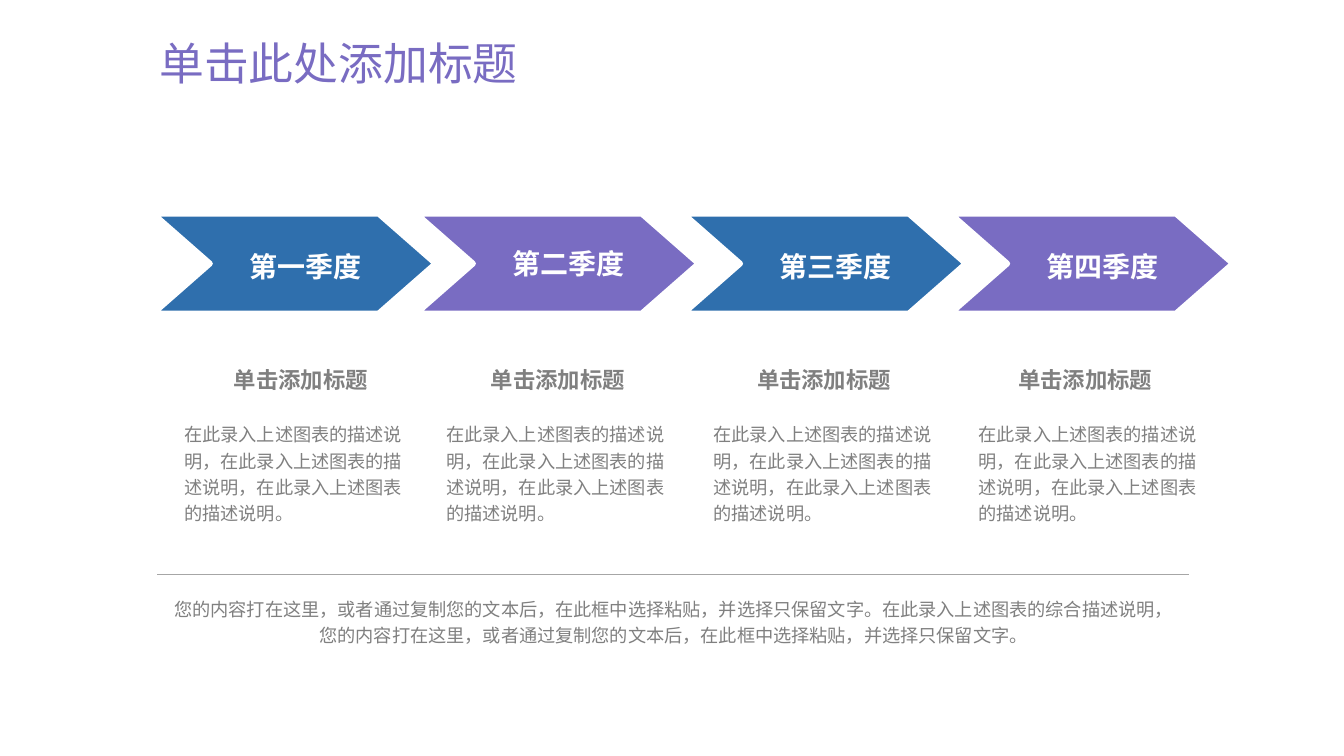
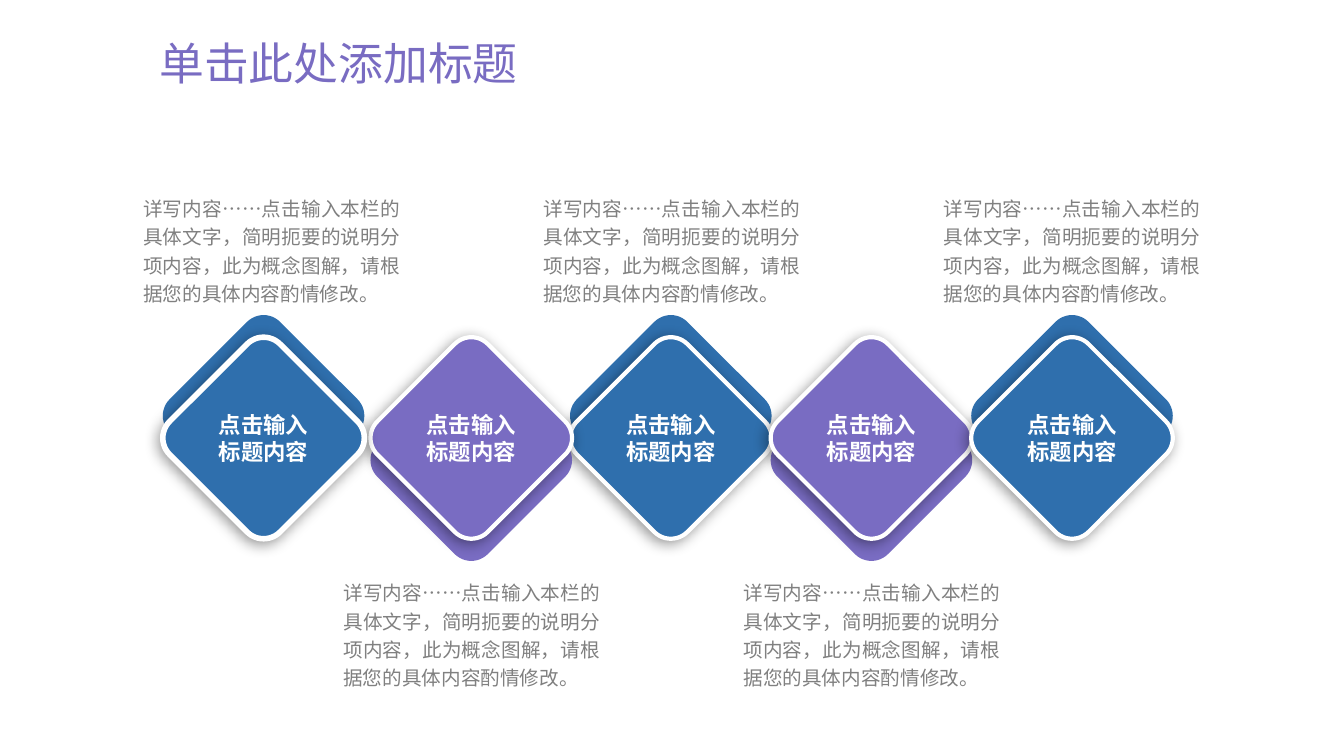
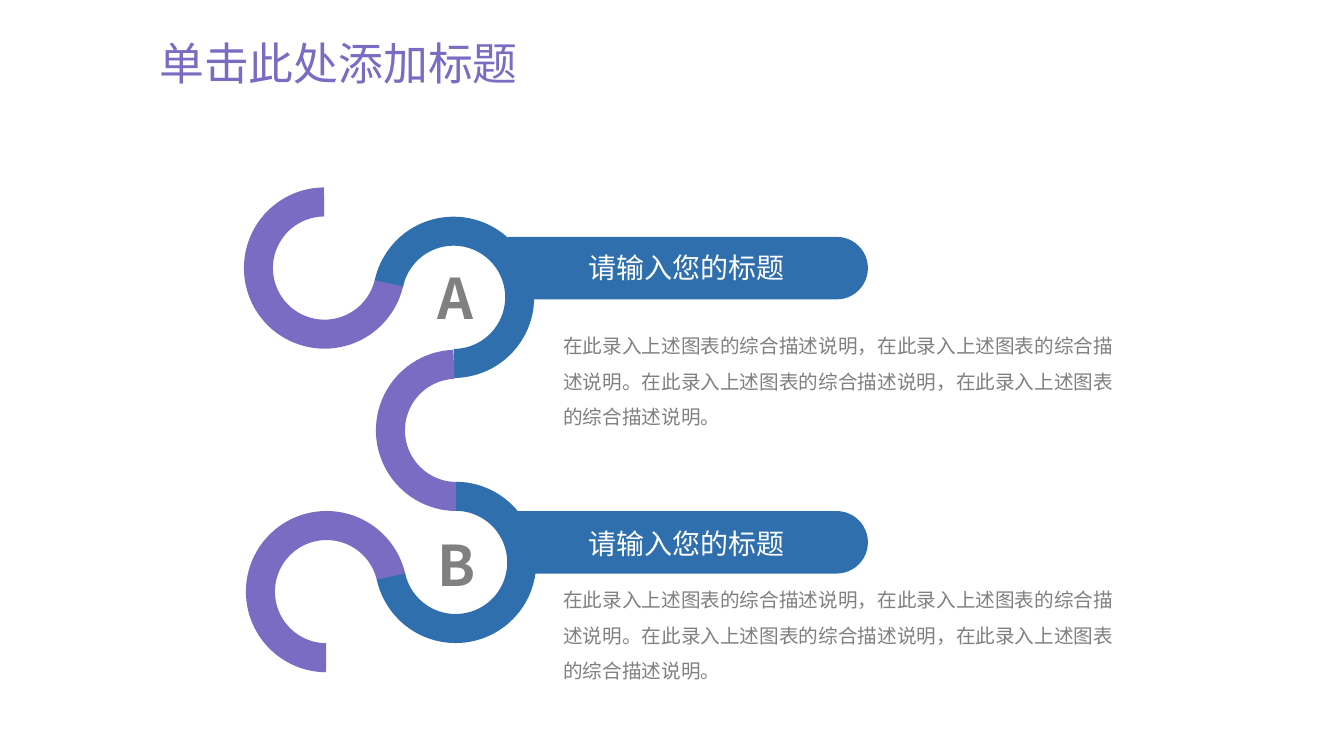
from lxml import etree
from pptx import Presentation
from pptx.dml.color import RGBColor
from pptx.enum.shapes import MSO_CONNECTOR, MSO_SHAPE
from pptx.enum.text import MSO_ANCHOR, MSO_AUTO_SIZE, PP_ALIGN
from pptx.oxml.ns import qn
from pptx.util import Inches, Pt

PURPLE = RGBColor(0x79, 0x6C, 0xC2)
BLUE = RGBColor(0x2F, 0x6F, 0xAD)
GRAY = RGBColor(0x80, 0x80, 0x80)
RULE = RGBColor(0xA6, 0xA6, 0xA6)
WHITE = RGBColor(0xFF, 0xFF, 0xFF)
CJK = "Noto Sans CJK SC"
LEFT, CENTER, JUSTIFY = PP_ALIGN.LEFT, PP_ALIGN.CENTER, PP_ALIGN.JUSTIFY
TOP, MIDDLE = MSO_ANCHOR.TOP, MSO_ANCHOR.MIDDLE

# All positions below count cells of a square grid, ten to the inch.
CELL = Inches(0.1)
SLIDE_W, SLIDE_H = 133.33, 75


def add_text(s, x, y, w, h, text, size, color=GRAY, bold=False, align=LEFT,
             spacing=1.0, font=CJK, anchor=TOP, insets=(1, 0.5), wrap=True):
    tf = s.shapes.add_textbox(*[int(v * CELL) for v in (x, y, w, h)]).text_frame
    tf.word_wrap = wrap
    tf.vertical_anchor = anchor
    tf.margin_left = tf.margin_right = int(insets[0] * CELL)
    tf.margin_top = tf.margin_bottom = int(insets[1] * CELL)
    tf.text = text
    p = tf.paragraphs[0]
    p.alignment = align
    p.line_spacing = spacing
    r = p.runs[0]
    r.font.name = font
    r.font.size = Pt(size)
    r.font.bold = bold
    r.font.color.rgb = color
    etree.SubElement(r.font._element, qn("a:ea")).set("typeface", CJK)


def add_filled(s, kind, x, y, w, h, color, adjustments, border=0, rotation=0):
    """Add a preset shape without shadow; border is the white outline in points."""
    sp = s.shapes.add_shape(kind, *[int(v * CELL) for v in (x, y, w, h)])
    sp.shadow.inherit = False
    sp.fill.solid()
    sp.fill.fore_color.rgb = color
    if border:
        sp.line.color.rgb = WHITE
        sp.line.width = Pt(border)
    else:
        sp.line.fill.background()
    for i, value in enumerate(adjustments):
        sp.adjustments[i] = value
    sp.rotation = rotation
    return sp


prs = Presentation()
prs.slide_width = int(SLIDE_W * CELL)
prs.slide_height = int(SLIDE_H * CELL)

# Title shared by all slides
layout = prs.slide_layouts[5]
title = layout.placeholders[0]
title.left, title.top, title.width, title.height = [
    int(v * CELL) for v in (14.8, 3.6, 115, 5.9)]
slides = []
for _ in range(3):
    s = prs.slides.add_slide(layout)
    tf = s.shapes.title.text_frame
    tf.text = "单击此处添加标题"
    tf.vertical_anchor = MIDDLE
    tf.auto_size = MSO_AUTO_SIZE.NONE
    p = tf.paragraphs[0]
    p.alignment = LEFT
    p.line_spacing = 0.9
    r = p.runs[0]
    r.font.name = "Montserrat"
    r.font.size = Pt(32)
    r.font.color.rgb = PURPLE
    etree.SubElement(r.font._element, qn("a:ea")).set("typeface", CJK)
    slides.append(s)
quarters_slide, diamonds_slide, arcs_slide = slides

# Slide 1: four quarters
s = quarters_slide
DESCRIPTION = "，".join(["在此录入上述图表的描述说明"] * 3) + "。"
QUARTERS = [  # label, arrow left, heading left, description left, colour, spacing
    ("第一季度", 15.2, 22.1, 17.3, BLUE, 1.2),
    ("第二季度", 41.3, 47.6, 43.3, PURPLE, 1.0),
    ("第三季度", 67.8, 74.0, 69.8, BLUE, 1.2),
    ("第四季度", 94.3, 99.9, 96.1, PURPLE, 1.2),
]
for label, arrow_x, heading_x, body_x, color, spacing in QUARTERS:
    add_filled(s, MSO_SHAPE.CHEVRON, arrow_x, 21.2, 28, 9.9, color, [0.57], border=4)
    add_text(s, arrow_x + 3.2, 23.6, 23.8, 5, label, 20, WHITE, True, CENTER,
             spacing, "Arial", MIDDLE)
    add_text(s, heading_x, 35.8, 15.5, 3.7, "单击添加标题", 16, bold=True,
             align=CENTER, wrap=False)
    add_text(s, body_x, 41.1, 24.3, 11.8, DESCRIPTION, 13, spacing=1.2)

rule = s.shapes.add_connector(
    MSO_CONNECTOR.STRAIGHT, *[int(v * CELL) for v in (15.6, 57, 118, 57)])
rule.line.color.rgb = RULE
rule.line.width = Pt(0.5)
etree.SubElement(rule._element.spPr, qn("a:effectLst"))
PASTE = "您的内容打在这里，或者通过复制您的文本后，在此框中选择粘贴，并选择只保留文字。"
add_text(s, 15.5, 58.4, 102.6, 6.4,
         PASTE + "在此录入上述图表的综合描述说明，" + PASTE,
         13, align=CENTER, spacing=1.2)

# Slide 2: five overlapping diamonds, the middle one at the back
s = diamonds_slide
SIDE = 15.5
DIAMOND_Y = 43.45
CENTERS = [26.15, 46.75, 66.55, 86.45, 106.35]
DETAIL = ("详写内容……点击输入本栏的具体文字，简明扼要的说明分项内容，"
          "此为概念图解，请根据您的具体内容酌情修改。")
for i in (2, 1, 0, 3, 4):
    lower = i % 2 == 1
    color, rotation, shift = (PURPLE, 135, 2.2) if lower else (BLUE, 315, -2.2)
    x, y = CENTERS[i] - SIDE / 2, DIAMOND_Y - SIDE / 2
    add_filled(s, MSO_SHAPE.ROUNDED_RECTANGLE, x, y + shift, SIDE, SIDE, color,
               [0.15], rotation=rotation)
    front = add_filled(s, MSO_SHAPE.ROUNDED_RECTANGLE, x, y, SIDE, SIDE, color,
                       [0.15], border=4 if i == 0 else 3, rotation=rotation)
    effects = front._element.spPr.find(qn("a:effectLst"))
    shadow = etree.SubElement(effects, qn("a:outerShdw"), blurRad=str(Pt(10)),
                              dist=str(Pt(3)), dir=str(135 * 60000))
    black = etree.SubElement(shadow, qn("a:srgbClr"), val="000000")
    etree.SubElement(black, qn("a:alpha"), val="40000")

for i, center in enumerate(CENTERS):
    add_text(s, center - 6.6, 42, 13.2, 2.9, "点击输入标题内容", 16, WHITE, True,
             CENTER, anchor=MIDDLE, insets=(1.3, 0.7))
    add_text(s, 14.2 + 19.85 * i, 57.2 if i % 2 else 19.1, 25.5, 11.3, DETAIL, 14,
             align=JUSTIFY, spacing=1.2, insets=(0, 0))

# Slide 3: chain of arcs with two labelled bars
s = arcs_slide
BAR_W, BAR_H = 35.7, 6.2
SUMMARY = "在此录入上述图表的综合描述说明，在此录入上述图表的综合描述说明。" * 2
SECTIONS = [  # letter, letter top, bar top, heading top, summary top
    ("A", 25.7, 23.5, 24.4, 31.5),
    ("B", 52.1, 50.7, 51.7, 56.7),
]
for letter, letter_y, bar_y, heading_y, summary_y in SECTIONS:
    # Turned a quarter so that the rounded end points right
    add_filled(s, MSO_SHAPE.ROUND_2_SAME_RECTANGLE, 50.4 + (BAR_W - BAR_H) / 2,
               bar_y - (BAR_W - BAR_H) / 2, BAR_H, BAR_W, BLUE, [0.5, 0], rotation=90)
    add_text(s, 57.4, heading_y, 21.6, 4.4, "请输入您的标题", 20, WHITE, wrap=False)
    add_text(s, 42.4, letter_y, 6.1, 7.7, letter, 40, bold=True, wrap=False)
    add_text(s, 54.9, summary_y, 56.6, 11.6, SUMMARY, 14, spacing=1.5, font="Arial")

ARCS = [  # left, top, start and end in degrees clockwise from the right, colour
    (24.2, 18.6, 12.3, 269.6, PURPLE),
    (37.0, 21.5, 192.3, 89.6, BLUE),
    (37.3, 34.7, 89.5, 267.7, PURPLE),
    (24.4, 50.7, 90.4, 347.7, PURPLE),
    (37.2, 47.8, 270.4, 167.7, BLUE),
]
for x, y, start, end, color in ARCS:
    # An angle adjustment counts 0.6 per degree
    add_filled(s, MSO_SHAPE.BLOCK_ARC, x, y, 16, 16, color,
               [start * 0.6, end * 0.6, 0.18])

prs.save("out.pptx")
